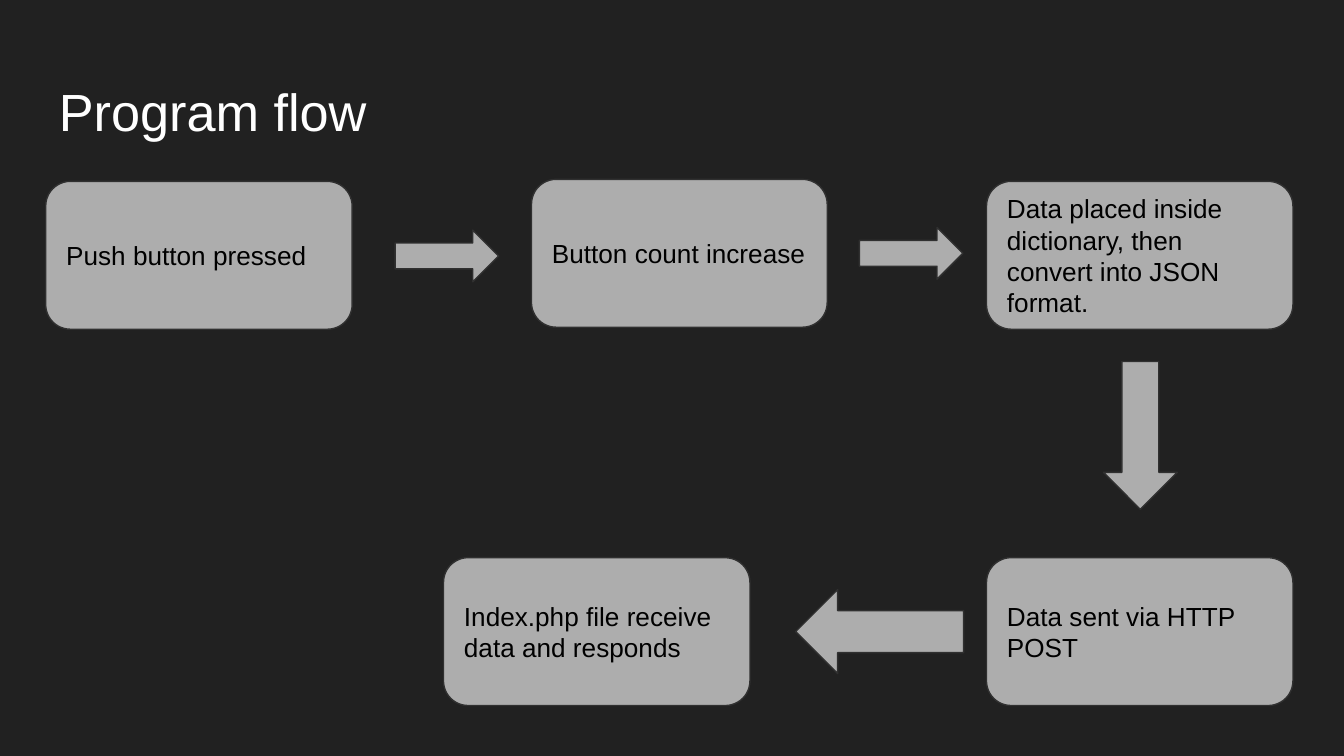
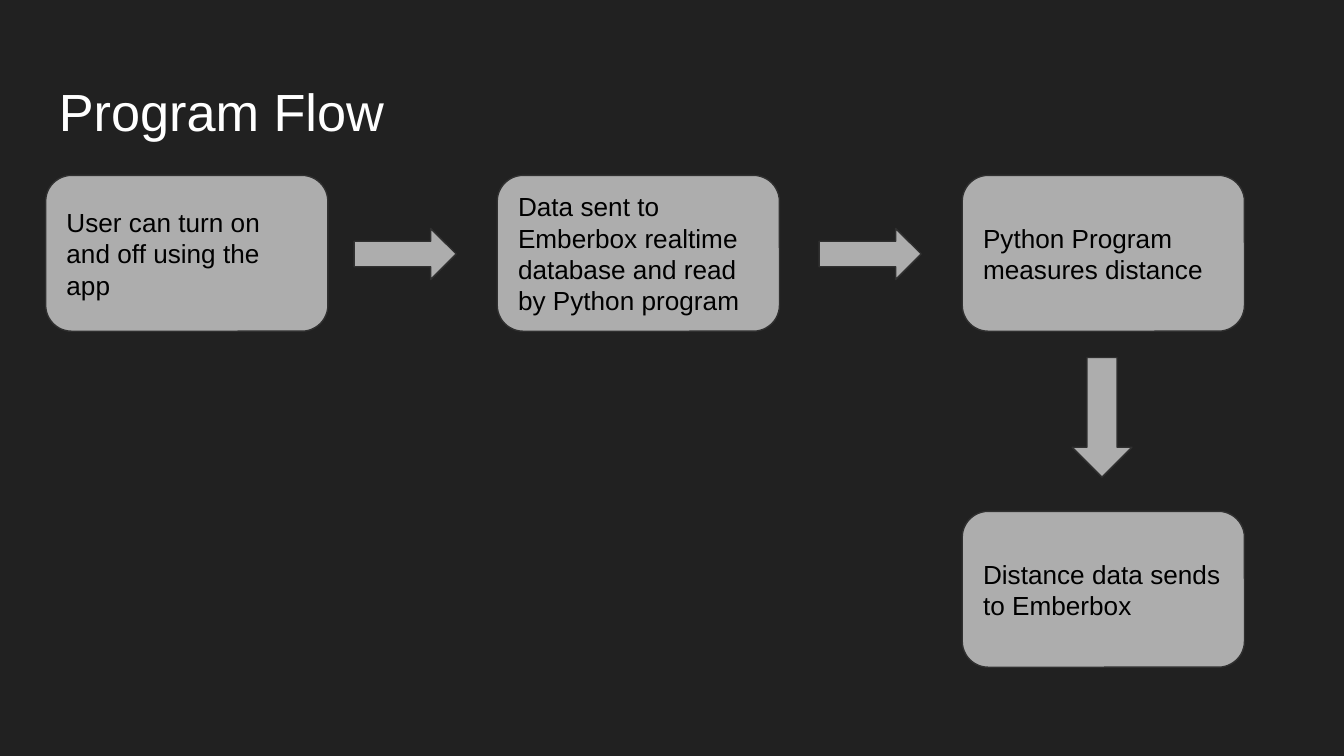
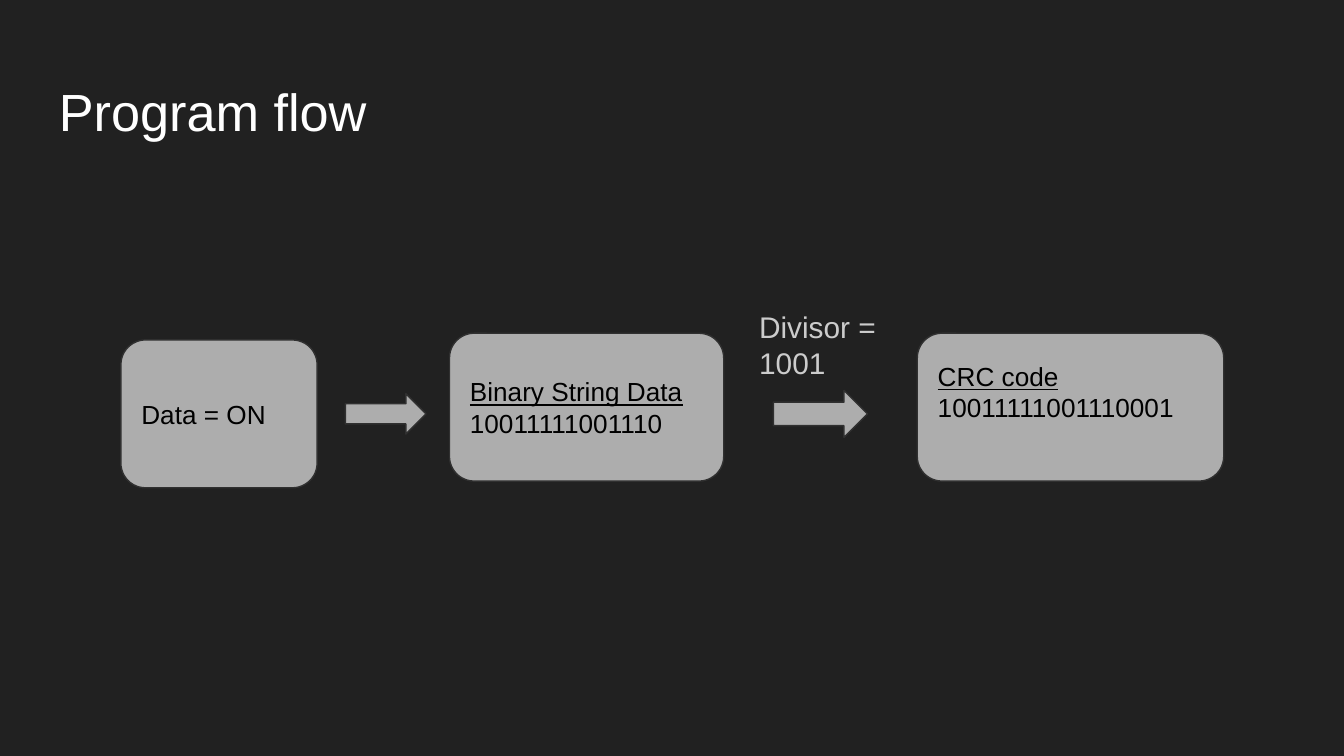
import pptx
import pptx.dml.color
import pptx.enum.shapes
import pptx.enum.text
import pptx.util

RGBColor = pptx.dml.color.RGBColor
SHAPE = pptx.enum.shapes.MSO_SHAPE
ANCHOR = pptx.enum.text.MSO_ANCHOR

BACKGROUND = RGBColor(0x21, 0x21, 0x21)
WHITE = RGBColor(0xFF, 0xFF, 0xFF)
BLACK = RGBColor(0x00, 0x00, 0x00)
PALE_GRAY = RGBColor(0xCC, 0xCC, 0xCC)
STEP_FILL = RGBColor(0xAD, 0xAD, 0xAD)
STEP_LINE = RGBColor(0x30, 0x30, 0x30)

# The slide is a 16:9 grid of 100 columns by 56.25 rows; lengths are in cells
COLUMNS, ROWS = 100, 56.25
CELL = pptx.util.Inches(0.1)
INSET = 1

TITLE_AREA = (3.4, 4.9, 93.2, 6.3)
TITLE_FORMAT = {"name": "Arial", "size": pptx.util.Pt(28), "color": WHITE}
STEP_FORMAT = {"name": "Arial", "size": pptx.util.Pt(14), "color": BLACK}
HEADING_FORMAT = {**STEP_FORMAT, "underline": True}
LABEL_FORMAT = {"name": "Arial", "size": pptx.util.Pt(16), "color": PALE_GRAY}

ARROW_SHAPES = {
    "right": SHAPE.RIGHT_ARROW,
    "left": SHAPE.LEFT_ARROW,
    "down": SHAPE.DOWN_ARROW,
}

# steps: left, top, width, lines of text (the first of two is a heading)
# arrows: direction, left or top end, length, centre line
FLOWS = [
    {
        "title": "Program flow",
        "step_height": 11,
        "steps": [
            (3.4, 13.5, 22.8, ["Push button pressed"]),
            (39.55, 13.35, 22, ["Button count increase"]),
            (73.4, 13.5, 22.8,
             ["Data placed inside dictionary, then convert into JSON format."]),
            (73.4, 41.5, 22.8, ["Data sent via HTTP POST"]),
            (33, 41.5, 22.8, ["Index.php file receive data and responds"]),
        ],
        "arrows": [
            ("right", 29.4, 7.7, 19.05),
            ("right", 63.95, 7.7, 18.85),
            ("down", 26.9, 11, 84.85),
            ("left", 59.2, 12.5, 47),
        ],
    },
    {
        "title": "Program Flow",
        "step_height": 11.6,
        "steps": [
            (3.4, 13.05, 21, ["User can turn on and off using the app"]),
            (37, 13.05, 21,
             ["Data sent to Emberbox realtime database and read by Python program"]),
            (71.6, 13.05, 21, ["Python Program measures distance"]),
            (71.6, 38.05, 21, ["Distance data sends to Emberbox"]),
        ],
        "arrows": [
            ("right", 26.35, 7.6, 18.9),
            ("right", 60.95, 7.6, 18.9),
            ("down", 26.6, 8.9, 82),
        ],
    },
    {
        "title": "Program flow",
        "step_height": 11,
        "steps": [
            (9, 25.3, 14.6, ["Data = ON"]),
            (33.45, 24.8, 20.4, ["Binary String Data", "10011111001110"]),
            (68.25, 24.8, 22.8, ["CRC code", "10011111001110001"]),
        ],
        "raised_step": 2,
        "arrows": [
            ("right", 25.7, 6, 30.8),
            ("right", 57.55, 7, 30.8),
        ],
        "label": ((55.5, 21.95, 11.1, 7.4), "Divisor = 1001"),
    },
]
RAISED_BOTTOM_INSET = 3.3


def cells(*lengths):
    return [round(length * CELL) for length in lengths]


def write_text(shape, lines, anchor=ANCHOR.TOP, bottom_inset=INSET):
    """Fill a shape with (text, format) lines, one paragraph each."""
    frame = shape.text_frame
    frame_format = {
        "word_wrap": True,
        "vertical_anchor": anchor,
        "margin_left": cells(INSET)[0],
        "margin_top": cells(INSET)[0],
        "margin_right": cells(INSET)[0],
        "margin_bottom": cells(bottom_inset)[0],
    }
    for name, value in frame_format.items():
        setattr(frame, name, value)
    for index, (text, font_format) in enumerate(lines):
        paragraph = frame.add_paragraph() if index else frame.paragraphs[0]
        paragraph.alignment = pptx.enum.text.PP_ALIGN.LEFT
        run = paragraph.add_run()
        run.text = text
        for name, value in font_format.items():
            if name == "color":
                run.font.color.rgb = value
            else:
                setattr(run.font, name, value)


def add_text(slide, area, text, font_format):
    write_text(slide.shapes.add_textbox(*cells(*area)), [(text, font_format)])


def add_gray_shape(slide, kind, area):
    shape = slide.shapes.add_shape(kind, *cells(*area))
    shape.shadow.inherit = False
    shape.fill.solid()
    shape.fill.fore_color.rgb = STEP_FILL
    shape.line.color.rgb = STEP_LINE
    shape.line.width = pptx.util.Pt(0.75)
    return shape


def add_step(slide, area, texts, bottom_inset):
    step = add_gray_shape(slide, SHAPE.ROUNDED_RECTANGLE, area)
    formats = [HEADING_FORMAT] * (len(texts) - 1) + [STEP_FORMAT]
    write_text(step, list(zip(texts, formats)), ANCHOR.MIDDLE, bottom_inset)


def add_arrow(slide, direction, start, length, centre):
    """Arrows are half as thick as they are long."""
    thickness = length / 2
    edge = centre - thickness / 2
    if direction == "down":
        area = (edge, start, thickness, length)
    else:
        area = (start, edge, length, thickness)
    add_gray_shape(slide, ARROW_SHAPES[direction], area)


def add_flow_slide(presentation, flow):
    slide = presentation.slides.add_slide(presentation.slide_layouts[6])
    slide.background.fill.solid()
    slide.background.fill.fore_color.rgb = BACKGROUND
    add_text(slide, TITLE_AREA, flow["title"], TITLE_FORMAT)
    for index, (left, top, width, texts) in enumerate(flow["steps"]):
        raised = index == flow.get("raised_step")
        add_step(slide, (left, top, width, flow["step_height"]), texts,
                 RAISED_BOTTOM_INSET if raised else INSET)
    for arrow in flow["arrows"]:
        add_arrow(slide, *arrow)
    if "label" in flow:
        add_text(slide, *flow["label"], LABEL_FORMAT)


def main():
    presentation = pptx.Presentation()
    presentation.slide_width, presentation.slide_height = cells(COLUMNS, ROWS)
    for flow in FLOWS:
        add_flow_slide(presentation, flow)
    presentation.save("out.pptx")


if __name__ == "__main__":
    main()
